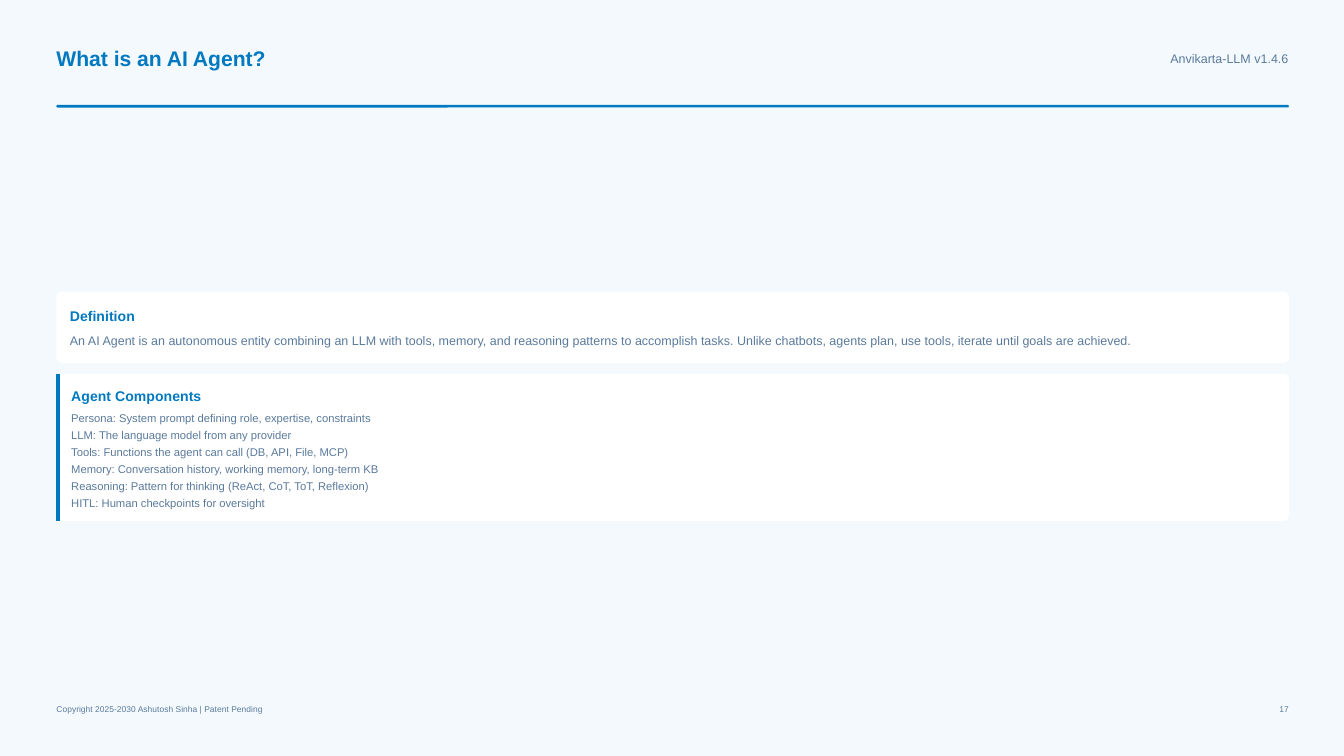
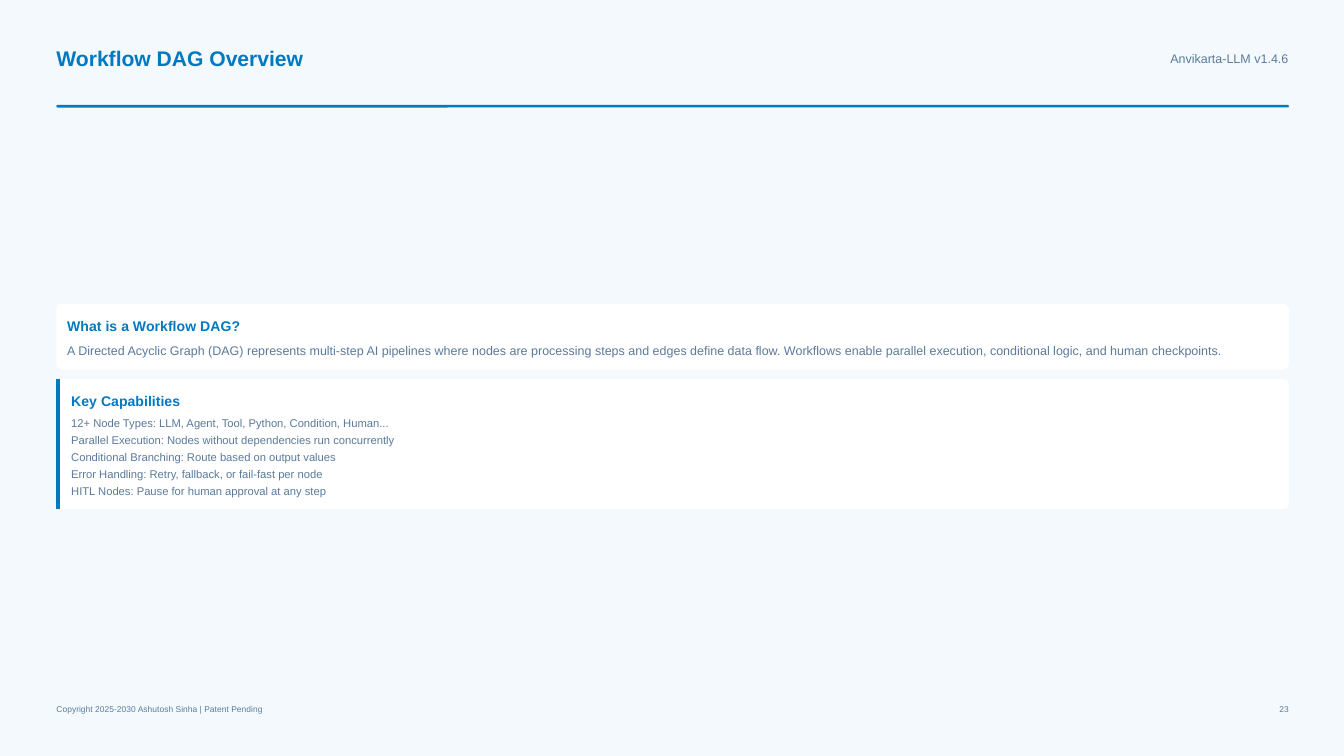
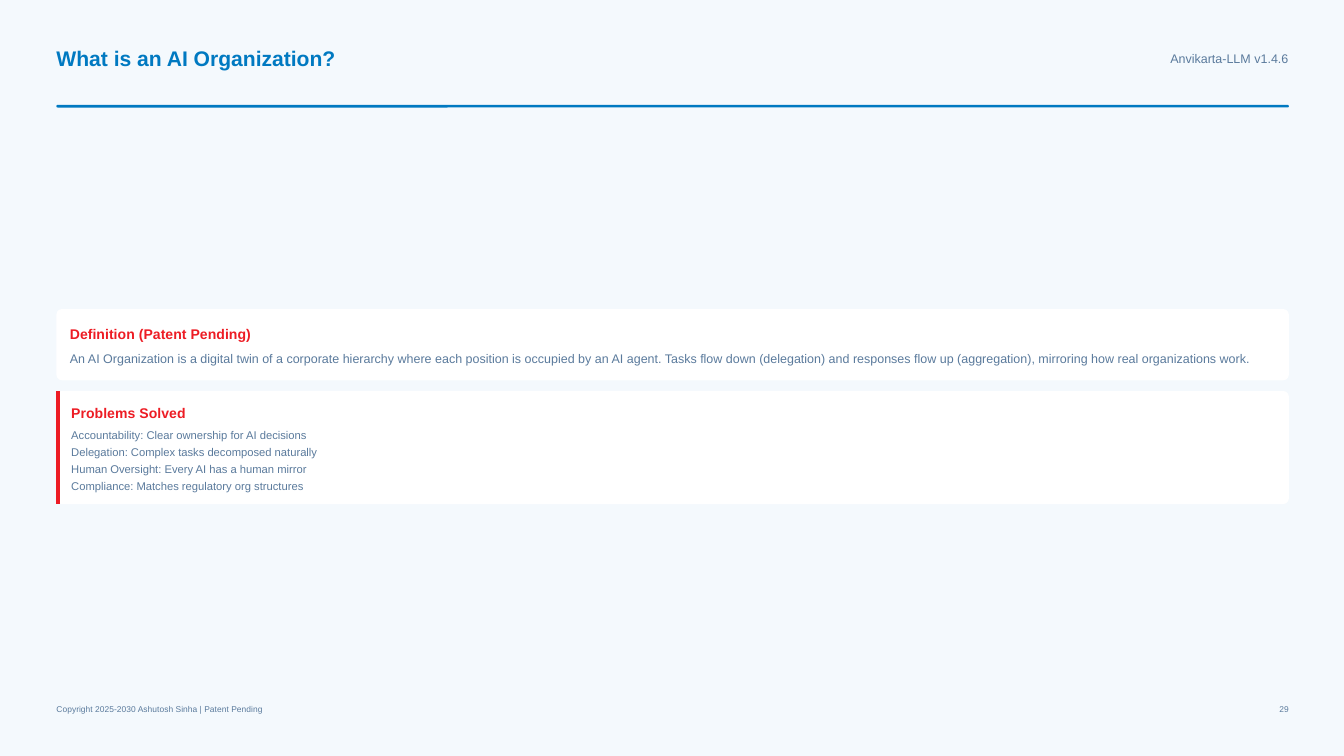
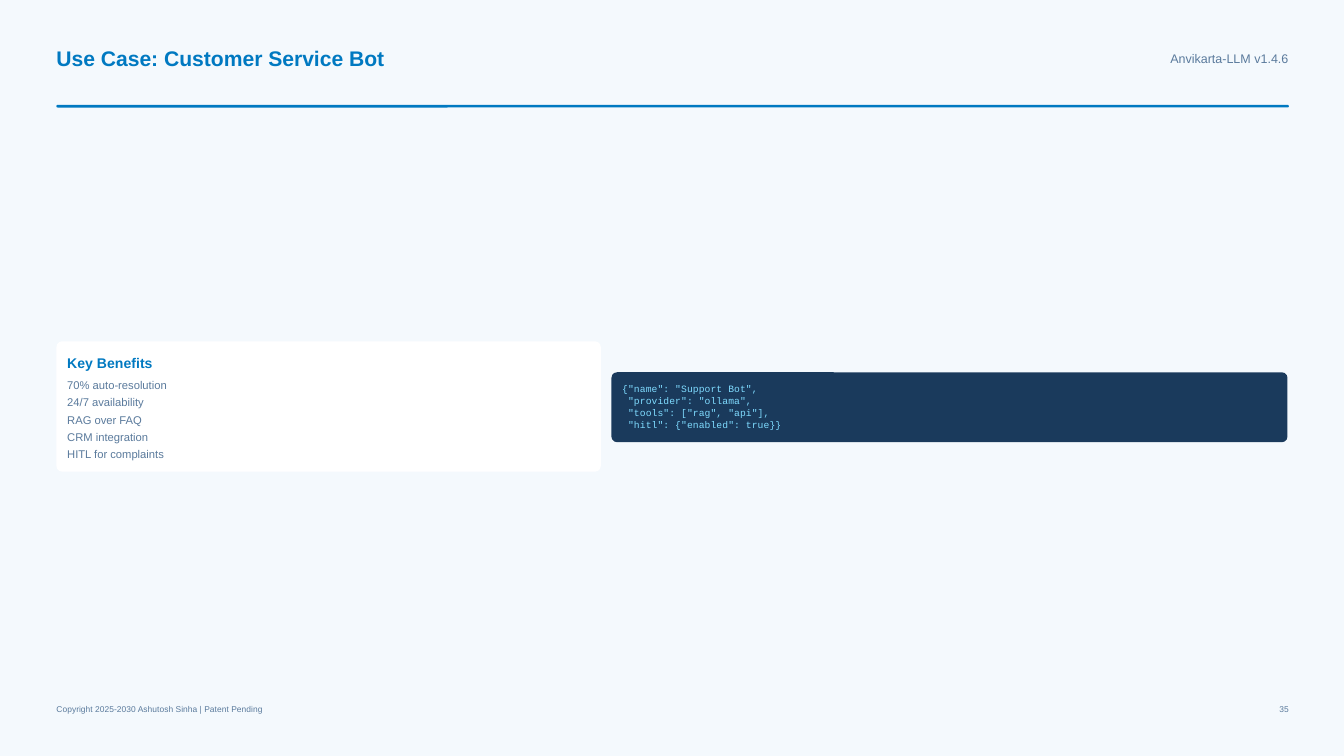
from lxml.etree import SubElement
from pptx import Presentation
from pptx.dml.color import RGBColor
from pptx.enum.shapes import MSO_CONNECTOR, MSO_SHAPE
from pptx.enum.text import MSO_ANCHOR, MSO_AUTO_SIZE, PP_ALIGN
from pptx.oxml.ns import qn
from pptx.util import Inches, Pt

COLORS = {
    "page": "F4F9FD",
    "blue": "0079C1",
    "red": "ED1C24",
    "text": "5A7A9C",
    "card": "FFFFFF",
    "navy": "1A3A5C",
    "code": "7FDBFF",
}
LEFT, WIDTH = 0.42, 9.17
PAD = 0.08
CORNER = 1 / 24
SLACK = 1.02  # text boxes are slightly wider than the space inside a card
ITEM, GAP = 6, 0.8  # list size and space between items, in points
PITCH = (ITEM * 1.4 + GAP) / 72


def rgb(name):
    return RGBColor.from_string(COLORS[name])


def place(shape, left, top, width, height):
    shape.left, shape.top = Inches(left), Inches(top)
    shape.width, shape.height = Inches(width), Inches(height)


def write(shape, lines, size, color="text", bold=False, font="Arial",
          lead=1.4, gap=0, align=PP_ALIGN.LEFT):
    """Fill a text box or placeholder, one paragraph per line."""
    frame = shape.text_frame
    frame.auto_size = MSO_AUTO_SIZE.NONE
    frame.word_wrap = True
    frame.vertical_anchor = MSO_ANCHOR.TOP
    frame.margin_left = frame.margin_right = 0
    frame.margin_top = frame.margin_bottom = 0
    for i, line in enumerate(lines):
        para = frame.add_paragraph() if i else frame.paragraphs[0]
        props = para._p.get_or_add_pPr()
        props.set("marL", "0")
        props.set("indent", "0")
        SubElement(props, qn("a:buNone"))
        para.alignment = align
        para.line_spacing = Pt(size * lead)
        para.space_before = Pt(gap if i else 0)
        run = para.add_run()
        run.text = line
        run.font.name = font
        run.font.size = Pt(size)
        run.font.bold = bold
        run.font.color.rgb = rgb(color)


def label(slide, box, lines, size, **style):
    shape = slide.shapes.add_textbox(*map(Inches, box))
    write(shape, lines, size, **style)


def panel(slide, left, top, width, height, color="card"):
    shape = slide.shapes.add_shape(
        MSO_SHAPE.ROUNDED_RECTANGLE, *map(Inches, (left, top, width, height)))
    shape.adjustments[0] = min(0.5, CORNER / height)
    shape.fill.solid()
    shape.fill.fore_color.rgb = rgb(color)
    shape.line.fill.background()
    shape.shadow.inherit = False


def stripe(slide, top, height, color):
    x = Inches(LEFT + 0.01)
    line = slide.shapes.add_connector(
        MSO_CONNECTOR.STRAIGHT, x, Inches(top), x, Inches(top + height))
    line.line.color.rgb = rgb(color)
    line.line.width = Pt(2.25)
    SubElement(line._element.spPr, qn("a:effectLst"))


def start(prs, title, number):
    """Add a slide with its title, header rule and footer."""
    slide = prs.slides.add_slide(prs.slide_layouts[1])
    place(slide.shapes.title, LEFT, 0.31, 2.5, 0.22)
    write(slide.shapes.title, [title], 11.25, color="blue", bold=True)
    label(slide, (8.68, 0.36, 0.91, 0.13), ["Anvikarta-LLM v1.4.6"], 6.75,
          align=PP_ALIGN.RIGHT)
    panel(slide, LEFT, 0.78, WIDTH, 0.02, "blue")
    label(slide, (LEFT, 5.23, 1.6, 0.09),
          ["Copyright 2025-2030 Ashutosh Sinha | Patent Pending"], 4.5)
    label(slide, (9.49, 5.23, 0.1, 0.09), [str(number)], 4.5,
          align=PP_ALIGN.RIGHT)
    return slide


def define(slide, top, head, text, pad=0.1, color="blue"):
    """Card with a heading and one sentence line."""
    panel(slide, LEFT, top, WIDTH, 0.33 + 2 * pad)
    x, y, wide = LEFT + pad, top + pad, (WIDTH - 2 * pad) * SLACK
    label(slide, (x, y, wide, 0.15), [head], 7.5, color=color, bold=True)
    label(slide, (x, y + 0.19, wide, 0.13), [text], 6.75)


def listing(slide, top, head, items, width=WIDTH, color="blue", edge=True):
    """Card with a heading and the body list, with a striped edge if wanted."""
    height = 0.33 + PITCH * len(items)
    panel(slide, LEFT, top, width, height)
    inset = PAD
    if edge:
        stripe(slide, top, height, color)
        inset += 0.03
    x, y, wide = LEFT + inset, top + PAD, (width - inset - PAD) * SLACK
    label(slide, (x, y, wide, 0.15), [head], 7.5, color=color, bold=True)
    body = slide.placeholders[1]
    place(body, x, y + 0.18, wide, PITCH * len(items))
    write(body, items, ITEM, gap=GAP)
    slide.shapes._spTree.append(body._element)  # bring in front of the card


def snippet(slide, left, top, width, lines):
    height = 0.17 + len(lines) * 6.3 / 72
    panel(slide, left, top, width, height, "navy")
    label(slide, (left + PAD, top + PAD, width - 2 * PAD, height - 2 * PAD),
          lines, 5.25, color="code", font="Courier New", lead=1.2)


def main():
    prs = Presentation()
    prs.slide_width, prs.slide_height = Inches(10), Inches(10 * 9 / 16)
    back = prs.slide_master.background.fill
    back.solid()
    back.fore_color.rgb = rgb("page")

    agent = start(prs, "What is an AI Agent?", 17)
    define(agent, 2.17, "Definition",
           "An AI Agent is an autonomous entity combining an LLM with tools, "
           "memory, and reasoning patterns to accomplish tasks. Unlike "
           "chatbots, agents plan, use tools, iterate until goals are "
           "achieved.")
    listing(agent, 2.78, "Agent Components", [
        "Persona: System prompt defining role, expertise, constraints",
        "LLM: The language model from any provider",
        "Tools: Functions the agent can call (DB, API, File, MCP)",
        "Memory: Conversation history, working memory, long-term KB",
        "Reasoning: Pattern for thinking (ReAct, CoT, ToT, Reflexion)",
        "HITL: Human checkpoints for oversight",
    ])

    flow = start(prs, "Workflow DAG Overview", 23)
    define(flow, 2.26, "What is a Workflow DAG?",
           "A Directed Acyclic Graph (DAG) represents multi-step AI pipelines "
           "where nodes are processing steps and edges define data flow. "
           "Workflows enable parallel execution, conditional logic, and human "
           "checkpoints.", pad=PAD)
    listing(flow, 2.82, "Key Capabilities", [
        "12+ Node Types: LLM, Agent, Tool, Python, Condition, Human...",
        "Parallel Execution: Nodes without dependencies run concurrently",
        "Conditional Branching: Route based on output values",
        "Error Handling: Retry, fallback, or fail-fast per node",
        "HITL Nodes: Pause for human approval at any step",
    ])

    firm = start(prs, "What is an AI Organization?", 29)
    define(firm, 2.3, "Definition (Patent Pending)",
           "An AI Organization is a digital twin of a corporate hierarchy "
           "where each position is occupied by an AI agent. Tasks flow down "
           "(delegation) and responses flow up (aggregation), mirroring how "
           "real organizations work.", color="red")
    listing(firm, 2.91, "Problems Solved", [
        "Accountability: Clear ownership for AI decisions",
        "Delegation: Complex tasks decomposed naturally",
        "Human Oversight: Every AI has a human mirror",
        "Compliance: Matches regulatory org structures",
    ], color="red")

    case = start(prs, "Use Case: Customer Service Bot", 35)
    listing(case, 2.54, "Key Benefits", [
        "70% auto-resolution",
        "24/7 availability",
        "RAG over FAQ",
        "CRM integration",
        "HITL for complaints",
    ], width=4.05, edge=False)
    snippet(case, 4.55, 2.77, 5.03, [
        '{"name": "Support Bot",',
        ' "provider": "ollama",',
        ' "tools": ["rag", "api"],',
        ' "hitl": {"enabled": true}}',
    ])

    prs.save("out.pptx")


if __name__ == "__main__":
    main()
